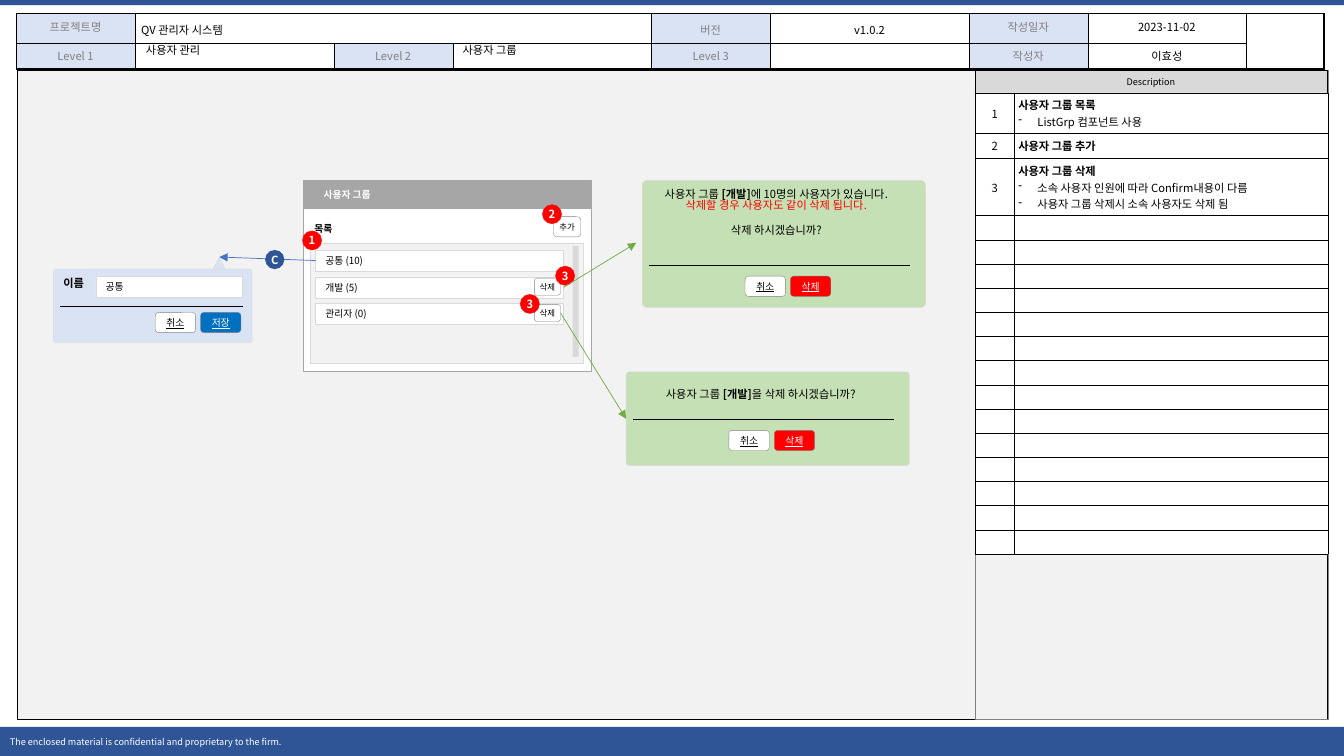
"""Builds the user group screen specification slide."""
from lxml.etree import SubElement
from pptx import Presentation
from pptx.dml.color import RGBColor
from pptx.enum.shapes import MSO_CONNECTOR as Link, MSO_SHAPE as Form
from pptx.enum.text import MSO_ANCHOR as Anchor, PP_ALIGN as Align
from pptx.oxml.ns import qn
from pptx.util import Inches, Pt

FONT = "Noto Sans CJK KR"
COLORS = {"navy": "2F5597", "white": "FFFFFF", "black": "000000", "gray": "808080",
          "pale": "F2F2F2", "silver": "D9D9D9", "steel": "A6A6A6", "ice": "DAE3F3",
          "blue": "0070C0", "sky": "4472C4", "red": "FF0000", "mint": "C5E0B4",
          "green": "70AD47"}
FOOTER = "The enclosed material is confidential and proprietary to the firm."
HEADER_COLUMNS = [1.18, 1.97, 1.18, 1.97, 1.18, 1.97, 1.18, 1.57, 0.77]
HEADER_ROWS = [
    (0.29, ["프로젝트명", "QV 관리자 시스템", "", "", "버전", "v1.0.2", "작성일자", "2023-11-02", ""]),
    (0.26, ["Level 1", "", "Level 2", "", "Level 3", "", "작성자", "이효성", ""]),
]
TALL_HEADERS = {"QV 관리자 시스템", "버전", "v1.0.2"}
LEVELS = [(1.35, "사용자 관리"), (4.49, "사용자 그룹")]
NOTES = [
    (0.39, "사용자 그룹 목록", ["ListGrp 컴포넌트 사용"]),
    (0.25, "사용자 그룹 추가", []),
    (0.56, "사용자 그룹 삭제", ["소속 사용자 인원에 따라 Confirm내용이 다름",
                          "사용자 그룹 삭제시 소속 사용자도 삭제 됨"]),
]
NOTE_COLUMNS, NOTE_ROWS, NOTE_HEIGHT = [0.39, 3.11], 17, 0.24
GROUPS = ["공통 (10)", "개발 (5)", "관리자 (0)"]
BADGES = [(3, 2.29, "1", "red"), (5.38, 2.03, "2", "red"), (2.63, 2.48, "C", "navy"),
          (5.51, 2.64, "3", "red"), (5.16, 2.92, "3", "red")]
BOLD = {"bold": True}
EDITOR = ((0.53, 2.67, 1.97, 0.73), 0.37, 0.43, 1.81, 1.01, "ice", "저장", "blue")
CONFIRM_USERS = ((6.37, 1.79, 2.81, 1.26), 0.84, 0.95, 2.59, 1.02, "mint", "삭제", "red")
CONFIRM_GROUP = ((6.21, 3.69, 2.81, 0.93), 0.47, 0.58, 2.59, 1.02, "mint", "삭제", "red")
USERS_MESSAGE = [
    [("사용자 그룹 ", {}), ("[개발]", BOLD), ("에 10명의 사용자가 있습니다.", {})],
    [("삭제할 경우 사용자도 같이 삭제 됩니다.", {"color": "red"})],
    [("삭제 하시겠습니까?", {})],
]
GROUP_MESSAGE = [[("사용자 그룹 ", {}), ("[개발]", BOLD), ("을 삭제 하시겠습니까?", {})]]

deck = Presentation()
deck.slide_width, deck.slide_height = Inches(13.33), Inches(7.5)
page = deck.slides.add_slide(deck.slide_layouts[6])


def rgb(name):
    return RGBColor.from_string(COLORS[name])


def write(frame, text, size=8, color="black", bold=False, underline=False,
          align=Align.LEFT, spacing=None, bullets=False, gap=0):
    lines = [[(text, {})]] if isinstance(text, str) else text
    for index, line in enumerate(lines):
        para = frame.paragraphs[0] if index == 0 else frame.add_paragraph()
        para.alignment = align
        if spacing:
            para.line_spacing = spacing
        if gap and index == len(lines) - 1:
            para.space_before = Pt(gap)
        if bullets and index:
            props = para._p.get_or_add_pPr()
            props.set("marL", str(Inches(0.19)))
            props.set("indent", str(-Inches(0.19)))
            SubElement(props, qn("a:buChar"), char="-")
        for words, change in line:
            if not words:
                SubElement(para._p, qn("a:endParaRPr"), sz=str(size * 100))
                continue
            span = para.add_run()
            span.text = words
            span.font.size, span.font.name = Pt(size), FONT
            span.font.bold = change.get("bold", bold)
            span.font.underline = underline
            span.font.color.rgb = rgb(change.get("color", color))
            SubElement(span._r.get_or_add_rPr(), qn("a:ea"), typeface=FONT)


def set_insets(target, insets):
    (target.margin_left, target.margin_top,
     target.margin_right, target.margin_bottom) = map(Inches, insets)


def add_box(at, fill=None, line=None, text="", form=Form.RECTANGLE, corner=None,
            insets=(0.1, 0.05, 0.1, 0.05), **style):
    box = page.shapes.add_shape(form, *map(Inches, at))
    box.shadow.inherit = False
    if corner:
        box.adjustments[0] = corner
    if fill:
        box.fill.solid()
        box.fill.fore_color.rgb = rgb(fill)
    else:
        box.fill.background()
    if line:
        box.line.color.rgb, box.line.width = rgb(line), Pt(0.25)
    else:
        box.line.fill.background()
    if text:
        box.text_frame.vertical_anchor = Anchor.MIDDLE
        set_insets(box.text_frame, insets)
        write(box.text_frame, text, **style)
    return box


def add_label(at, text, **style):
    label = page.shapes.add_textbox(*map(Inches, at))
    label.text_frame.word_wrap = False
    write(label.text_frame, text, spacing=0.83, **style)


def add_button(at, text, fill="white", color="black", **style):
    return add_box(at, fill, "gray", text, Form.ROUNDED_RECTANGLE, insets=[0.04] * 4,
                   color=color, align=Align.CENTER, **style)


def add_line(start, end, color="black", arrow=False):
    line = page.shapes.add_connector(Link.STRAIGHT, *map(Inches, start + end))
    line.line.color.rgb, line.line.width = rgb(color), Pt(0.5)
    if arrow:
        SubElement(line.line._get_or_add_ln(), qn("a:tailEnd"), type="triangle")
    SubElement(line._element.spPr, qn("a:effectLst"))
    return line


def add_dialog(at, rule, buttons, width, offset, fill, action, accent):
    left, top = at[:2]
    panel = add_box(at, fill, "silver", form=Form.ROUNDED_RECTANGLE, corner=0.037)
    add_line((left + 0.07, top + rule), (left + 0.07 + width, top + rule))
    for index, (text, back, color) in enumerate([("취소", "white", "black"),
                                                 (action, accent, "white")]):
        add_button((left + offset + 0.45 * index, top + buttons, 0.4, 0.2), text,
                   back, color, size=7, underline=True)
    return panel


def add_grid(left, top, columns, heights):
    grid = page.shapes.add_table(len(heights), len(columns), Inches(left), Inches(top),
                                 Inches(sum(columns)), Inches(sum(heights))).table
    grid.first_row = grid.horz_banding = False
    for column, width in zip(grid.columns, columns):
        column.width = Inches(width)
    for row, height in zip(grid.rows, heights):
        row.height = Inches(height)
    return grid


def set_cell(cell, text, fill, insets, widths=(0.25,) * 4, **style):
    set_insets(cell, insets)
    write(cell.text_frame, text, **style)
    props = cell._tc.get_or_add_tcPr()
    for side, width in zip("LRTB", widths):
        edge = SubElement(props, qn("a:ln" + side), w=str(Pt(width)))
        SubElement(SubElement(edge, qn("a:solidFill")), qn("a:srgbClr"), val=COLORS["black"])
    cell.fill.solid()
    cell.fill.fore_color.rgb = rgb(fill)


add_box((0, 0, 13.33, 0.05), "navy")
add_box((0, 7.21, 13.33, 0.29), "navy", text=FOOTER, size=6.5, color="white")
header = add_grid(0.16, 0.13, HEADER_COLUMNS, [height for height, _ in HEADER_ROWS])
for r, (_, texts) in enumerate(HEADER_ROWS):
    for c, text in enumerate(texts):
        title = text and c % 2 == 0
        set_cell(header.cell(r, c), text, "ice" if title else "white",
                 (0.06, 0.05, 0.06, 0.05),
                 (0.25, 1.5 if c == 8 else 0.25, 0.25, 1.5 if r or c == 8 else 0.25),
                 color="gray" if title else "black",
                 align=Align.LEFT if (r, c) == (0, 1) else Align.CENTER,
                 spacing=1.2 if text in TALL_HEADERS else None)
header.cell(0, 1).merge(header.cell(0, 3))
header.cell(0, 8).merge(header.cell(1, 8))

add_box((0.17, 0.7, 12.99, 6.44), "pale", "black")
add_box((9.67, 0.7, 3.5, 6.44), line="gray")
add_box((9.67, 0.7, 3.49, 0.22), "silver", "black", "Description", size=6.5, align=Align.CENTER,
        insets=(0.07, 0.03, 0.07, 0.03))
blank = NOTE_ROWS - len(NOTES)
notes = add_grid(9.67, 0.92, NOTE_COLUMNS, [n[0] for n in NOTES] + [NOTE_HEIGHT] * blank)
for r, (_, title, items) in enumerate(NOTES + [(NOTE_HEIGHT, "", [])] * blank):
    body = [[(title, BOLD)]] + [[(item, {})] for item in items]
    for c, text in enumerate([str(r + 1) if title else "", body]):
        set_cell(notes.cell(r, c), text, "white", [0.04] * 4, bullets=True,
                 align=Align.LEFT if c else Align.CENTER)
        notes.cell(r, c).vertical_anchor = Anchor.MIDDLE
for left, text in LEVELS:
    add_box((left, 0.38, 1.97, 0.24), text=text)

add_box((3.01, 2.05, 2.85, 1.63), "white", "steel")
add_box((3.01, 1.79, 2.85, 0.28), "steel", "steel", "사용자 그룹", size=7, color="white",
        bold=True, insets=(0.2, 0, 0, 0))
add_label((3.02, 2.18, 0.4, 0.22), "목록", size=7, bold=True)
add_box((3.08, 2.41, 2.7, 1.19), "pale", "silver")
add_box((5.68, 2.44, 0.06, 1.1), "silver")
add_button((5.49, 2.15, 0.27, 0.2), "추가", size=6)
rows = [add_box((3.13, 2.48 + 0.265 * i, 2.46, 0.21), "white", "silver", name, size=7)
        for i, name in enumerate(GROUPS)]
removers = [add_button((5.3, top, 0.26, 0.17), "삭제", size=6) for top in (2.76, 3.02)]

edit_arrow = add_line((3.13, 2.58), (2.18, 2.55), "sky", arrow=True)
edit_arrow.begin_connect(rows[0], 1)
pointer = add_box((2.08, 2.55, 0.19, 0.19), "ice", "silver", form=Form.ISOSCELES_TRIANGLE)
edit_arrow.end_connect(pointer, 0)
add_dialog(*EDITOR)
add_box((0.95, 2.74, 1.45, 0.21), "white", "silver", "공통", size=7)
add_label((0.53, 2.72, 0.43, 0.24), "이름", bold=True)
for left, top, text, color in BADGES:
    add_box((left, top, 0.19, 0.19), color, color if color == "red" else None, text, Form.OVAL,
            insets=[0] * 4, color="white", bold=True, align=Align.CENTER)

add_dialog(*CONFIRM_USERS)
add_label((6.37, 1.83, 2.66, 0.64), USERS_MESSAGE, align=Align.CENTER, gap=9.7)
add_line((5.59, 2.84), (6.31, 2.41), "green", arrow=True).begin_connect(rows[1], 3)
group_panel = add_dialog(*CONFIRM_GROUP)
add_label((6.4, 3.82, 2.29, 0.24), GROUP_MESSAGE, align=Align.CENTER)
group_arrow = add_line((5.56, 3.11), (6.21, 4.16), "green", arrow=True)
group_arrow.begin_connect(removers[1], 3)
group_arrow.end_connect(group_panel, 1)

deck.save("out.pptx")
